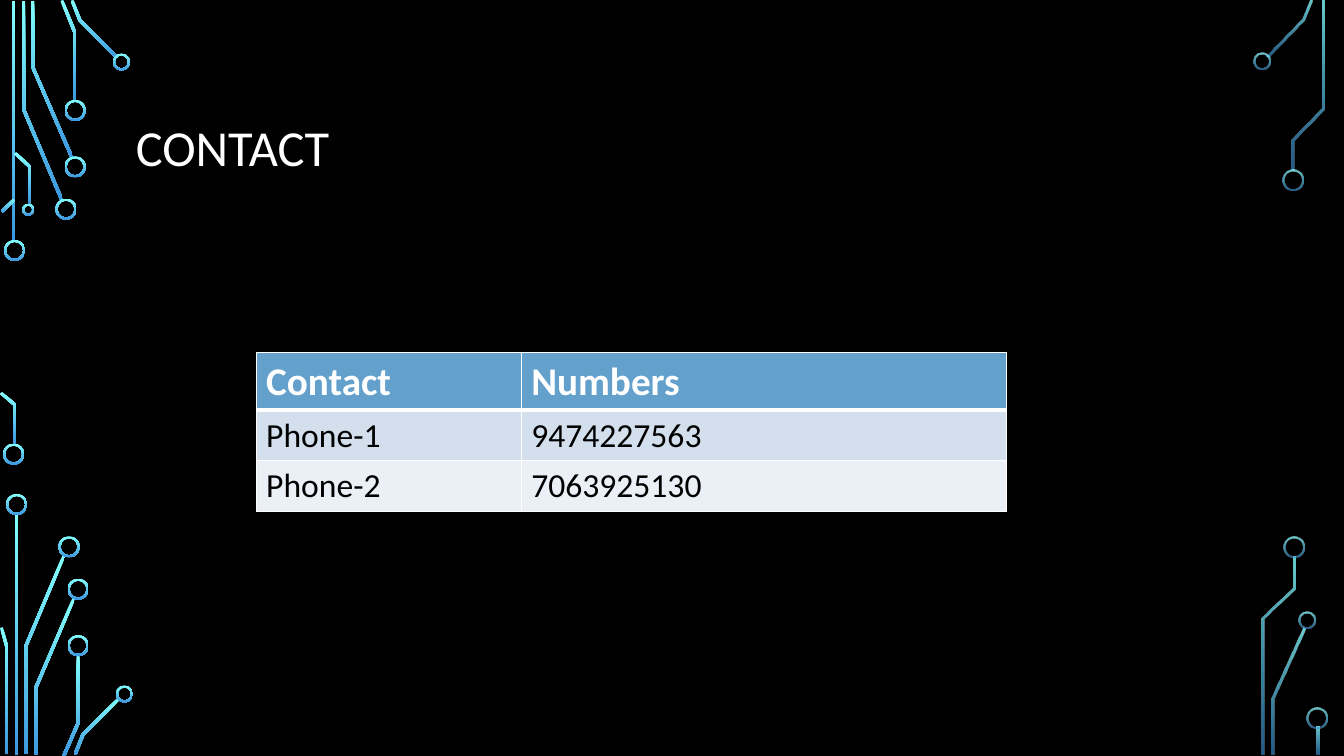
from math import hypot

from lxml import etree
from pptx import Presentation
from pptx.dml.color import RGBColor
from pptx.enum.shapes import MSO_SHAPE
from pptx.enum.text import MSO_ANCHOR
from pptx.oxml.ns import qn
from pptx.util import Pt

DONUT = MSO_SHAPE.DONUT
MIDDLE = MSO_ANCHOR.MIDDLE
PX = 9144
FONT = "Calibri"
WHITE = "FFFFFF"
GLOW = ("82FFFF", "3D97DE")
TRACE = 3
RIM = 2

LEFT_TRACES = [
    [(12, 240), (12, 1)],
    [(60, 199), (22, 109), (22, 1)],
    [(70, 157), (31, 67), (31, 1)],
    [(73, 100), (73, 33), (60, 1)],
    [(115, 58), (78, 21), (70, 1)],
    [(1, 209), (13, 197)],
    [(13, 441), (13, 402), (0, 391)],
    [(28, 203), (28, 166), (14, 153)],
    [(15, 749), (15, 510)],
    [(24, 748), (24, 641), (62, 551)],
    [(5, 748), (5, 641), (0, 623)],
    [(34, 749), (34, 682), (72, 593)],
    [(62, 749), (76, 717), (76, 650)],
    [(73, 748), (81, 728), (117, 692)],
]
LEFT_RINGS = [
    (4, 238, 21), (3, 440, 21), (55, 197, 21), (64, 155, 21),
    (64, 99, 21), (112, 53, 17), (22, 202, 12), (6, 490, 21),
    (58, 532, 21), (67, 574, 21), (67, 630, 21), (115, 680, 17),
]
RIGHT_TRACES = [
    [(16, 55), (51, 19), (59, 0)],
    [(21, 749), (21, 693), (52, 623)],
    [(41, 169), (41, 138), (71, 107), (71, 1)],
    [(11, 749), (11, 613), (42, 583), (42, 552)],
    [(66, 749), (66, 721)],
]
RIGHT_RINGS = [
    (3, 52, 17), (32, 168, 21), (48, 607, 17), (33, 532, 21), (56, 702, 21),
]
ROWS = [("Contact", "Numbers"), ("Phone-1", "9474227563"),
        ("Phone-2", "7063925130")]
FILLS = ["63A0CC", "D3DFEC", "EAF0F6"]


def px(*vals):
    """Turn px lengths into EMU."""
    return [round(v * PX) for v in vals]


def rgb(code):
    """Turn a hex string into a colour."""
    return RGBColor.from_string(code)


def style(run, size, color, bold=False):
    """Set the font of a run."""
    font = run.font
    font.name, font.size, font.bold = FONT, Pt(size), bold
    font.color.rgb = rgb(color)


def glow(shape, alphas):
    """Fill a shape with the vertical gradient and drop its line and shadow."""
    shape.shadow.inherit = False
    shape.line.fill.background()
    shape.fill.gradient()
    shape.fill.gradient_angle = 270
    for stop, code, alpha in zip(shape.fill.gradient_stops, GLOW, alphas):
        stop.color.rgb = rgb(code)
    for node, alpha in zip(shape._element.spPr.iter(qn("a:srgbClr")), alphas):
        if alpha < 100:
            etree.SubElement(node, qn("a:alpha")).set("val", str(alpha * 1000))


def band(edge):
    """Return the outline of a trace lying to the right of its edge."""
    norms = []
    for (ax, ay), (bx, by) in zip(edge, edge[1:]):
        size = hypot(bx - ax, by - ay)
        norms.append(((ay - by) / size, (bx - ax) / size))
    far = []
    for (x, y), (ux, uy), (vx, vy) in zip(
            edge, norms[:1] + norms, norms + norms[-1:]):
        reach = TRACE / (1 + ux * vx + uy * vy)
        far.append((x + (ux + vx) * reach, y + (uy + vy) * reach))
    return edge + far[::-1]


def circuit(slide, box, traces, rings, alphas):
    """Draw the traces and rings of one side in its box."""
    left, top = box
    for edge in traces:
        pts = [px(left + x, top + y) for x, y in band(edge)]
        path = slide.shapes.build_freeform(*pts[0])
        path.add_line_segments(pts[1:])
        glow(path.convert_to_shape(), alphas)
    for x, y, size in rings:
        ring = slide.shapes.add_shape(
            DONUT, *px(left + x, top + y, size, size))
        ring.adjustments[0] = RIM / size
        glow(ring, alphas)


def title(slide, box, text):
    """Place the title in its box."""
    frame = slide.shapes.add_textbox(*px(*box)).text_frame
    frame.word_wrap = True
    frame.vertical_anchor = MIDDLE
    frame.text = text
    para = frame.paragraphs[0]
    para.line_spacing = 0.9
    style(para.runs[0], 36, WHITE)


def border(cell, side, width):
    """Draw one white border of a cell."""
    line = etree.SubElement(cell._tc.get_or_add_tcPr(), qn("a:ln" + side))
    line.set("w", str(Pt(width)))
    fill = etree.SubElement(line, qn("a:solidFill"))
    etree.SubElement(fill, qn("a:srgbClr")).set("val", WHITE)


def phones(slide, box):
    """Build the table of contact numbers in its box."""
    grid = slide.shapes.add_table(len(ROWS), 2, *px(*box)).table
    for col, width in zip(grid.columns, px(263, box[2] - 263)):
        col.width = width
    for row, height in zip(grid.rows, px(57, 50, 50)):
        row.height = height
    for r, (words, code) in enumerate(zip(ROWS, FILLS)):
        head = r == 0
        for c, word in enumerate(words):
            cell = grid.cell(r, c)
            widths = (1, 1, 3 if r == 1 else 1, 3 if head else 1)
            for side, width in zip("LRTB", widths):
                border(cell, side, width)
            cell.fill.solid()
            cell.fill.fore_color.rgb = rgb(code)
            cell.text_frame.text = word
            style(cell.text_frame.paragraphs[0].runs[0],
                  28 if head else 24, WHITE if head else "000000", head)


def main():
    """Build the contact slide and save it."""
    deck = Presentation()
    deck.slide_width, deck.slide_height = px(1333, 750)
    slide = deck.slides.add_slide(deck.slide_layouts[6])
    back = slide.background.fill
    back.solid()
    back.fore_color.rgb = rgb("000000")
    circuit(slide, (0, 0), LEFT_TRACES, LEFT_RINGS, (100, 100))
    circuit(slide, (1240, 0), RIGHT_TRACES, RIGHT_RINGS, (80, 60))
    title(slide, (125, 68, 1083, 162), "CONTACT")
    phones(slide, (254, 350, 744, 157))
    deck.save("out.pptx")


if __name__ == "__main__":
    main()
